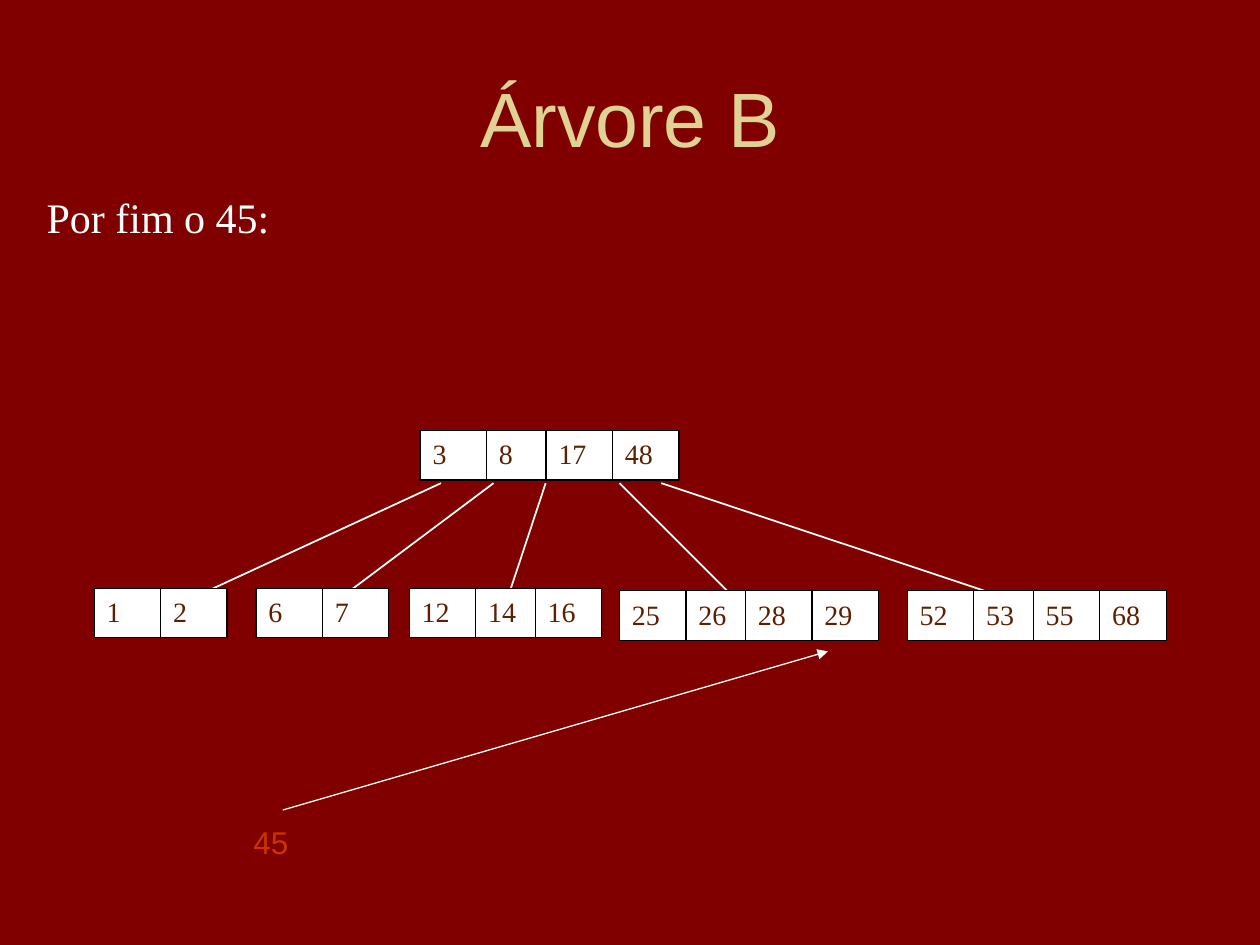
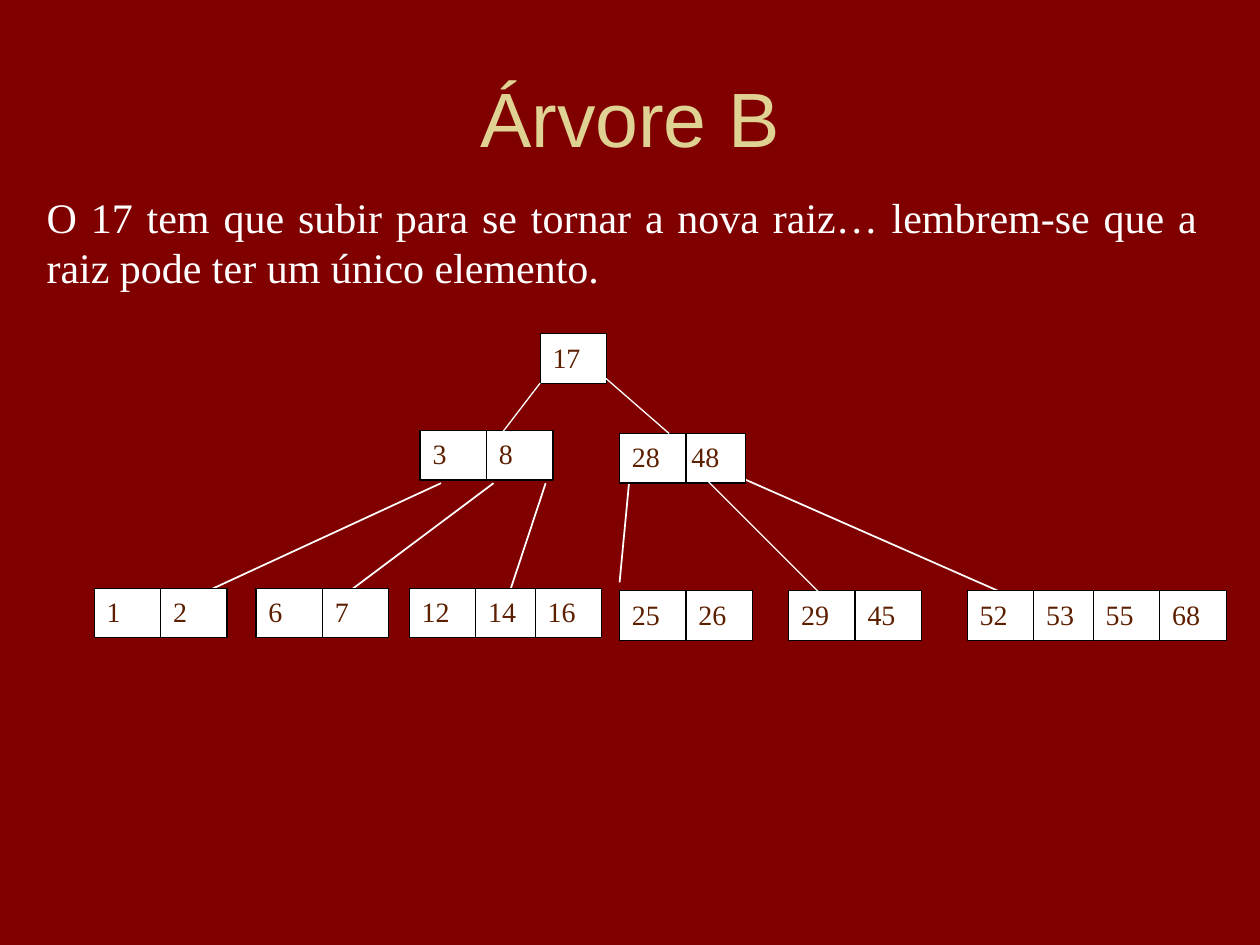
"""Builds two slides on inserting the key 45 into a B-tree."""
from dataclasses import dataclass

import pptx
import pptx.dml.color
import pptx.enum.shapes
import pptx.enum.text
import pptx.oxml
import pptx.oxml.ns
import pptx.util

Cm, Pt = pptx.util.Cm, pptx.util.Pt
PP_ALIGN, ANCHOR = pptx.enum.text.PP_ALIGN, pptx.enum.text.MSO_ANCHOR


@dataclass(frozen=True)
class Theme:
    background: str = "800000"
    title: str = "DFD293"
    light: str = "FFFFFF"
    border: str = "000000"
    key: str = "5C1F00"
    inserted: str = "CC3300"
    sans: str = "Arial"
    serif: str = "Times New Roman"
    title_size: float = 44
    caption_size: float = 24
    inserted_size: float = 18
    key_size: float = 16
    thin: float = 0.75
    branch: float = 1


THEME = Theme()
KEY_WIDTH, KEY_HEIGHT, KEY_PAIR = 1.34, 1, 2.54
ROOT_TOP, MIDDLE_TOP, LEAF_TOP, RIGHT_LEAF_TOP = 6.73, 8.68, 11.86, 11.91
RIGHT_MIDDLE_TOP = 8.74

LEFT_LEAVES = [
    ((1, 2), 1.9, LEAF_TOP),
    ((6, 7), 5.16, LEAF_TOP),
    ((12, 14, 16), 8.25, LEAF_TOP),
]
LEFT_BRANCHES = [
    ((8.89, 9.74), (3.39, 12.28)),
    ((9.95, 9.74), (6.56, 12.28)),
    ((11, 9.74), (10.16, 12.28)),
]

SLIDES = [
    {
        "title": "Árvore B",
        "caption": "Por fim o 45:",
        "caption_height": 1.27,
        "branches": LEFT_BRANCHES + [
            ((12.49, 9.74), (15.03, 12.28)),
            ((13.33, 9.74), (20.96, 12.28)),
        ],
        "nodes": LEFT_LEAVES + [
            ((3, 8, 17, 48), 8.47, MIDDLE_TOP),
            ((25, 26, 28, 29), 12.49, RIGHT_LEAF_TOP),
            ((52, 53, 55, 68), 18.29, RIGHT_LEAF_TOP),
        ],
        "inserted": "45",
        "insertion": ((5.7, 16.33), (16.69, 13.13)),
    },
    {
        "title": "Árvore B",
        "caption": "O 17 tem que subir para se tornar a nova raiz… lembrem-se "
                   "que a raiz pode ter um único elemento.",
        "caption_height": 2.29,
        "branches": LEFT_BRANCHES + [
            ((12.7, 9.53), (12.49, 11.74)),
            ((14.71, 9.53), (20.96, 12.28)),
        ],
        "nodes": LEFT_LEAVES + [
            ((17,), 10.89, ROOT_TOP),
            ((3, 8), 8.47, MIDDLE_TOP),
            ((48,), 13.69, RIGHT_MIDDLE_TOP),
            ((28,), 12.49, RIGHT_MIDDLE_TOP),
            ((25, 26), 12.49, RIGHT_LEAF_TOP),
            ((29, 45), 15.9, RIGHT_LEAF_TOP),
            ((52, 53, 55, 68), 19.5, RIGHT_LEAF_TOP),
        ],
        "new_branches": [
            ((14.1, 9.53), (16.69, 12.12)),
            ((10.89, 7.72), (10.11, 8.74)),
            ((12.09, 7.52), (13.49, 8.74)),
        ],
    },
]


def rgb(color):
    return pptx.dml.color.RGBColor.from_string(color)


def write(shape, text, font, size, color, align=PP_ALIGN.LEFT, anchor=ANCHOR.TOP):
    frame = shape.text_frame
    frame.text = text
    frame.word_wrap = True
    frame.vertical_anchor = anchor
    frame.margin_left = frame.margin_right = Cm(0.25)
    frame.margin_top = frame.margin_bottom = Cm(0.13)
    paragraph = frame.paragraphs[0]
    paragraph.alignment = align
    style = paragraph.runs[0].font
    style.name, style.size = font, Pt(size)
    style.color.rgb = rgb(color)
    return frame


def place(shape, left, top, width, height):
    shape.left, shape.top, shape.width, shape.height = map(Cm, (left, top, width, height))


def draw_line(slide, start, end, width, arrow=False):
    line = slide.shapes.add_connector(
        pptx.enum.shapes.MSO_CONNECTOR.STRAIGHT, *map(Cm, (*start, *end)))
    line.line.color.rgb = rgb(THEME.light)
    line.line.width = Pt(width)
    if arrow:
        head = pptx.oxml.parse_xml(
            f'<a:tailEnd {pptx.oxml.ns.nsdecls("a")} type="triangle"/>')
        line.line._get_or_add_ln().append(head)
    line._element.spPr.append(
        pptx.oxml.parse_xml(f'<a:effectLst {pptx.oxml.ns.nsdecls("a")}/>'))


def draw_node(slide, keys, left, top):
    for index, key in enumerate(keys):
        pair, second = divmod(index, 2)
        cell = slide.shapes.add_shape(
            pptx.enum.shapes.MSO_SHAPE.RECTANGLE,
            Cm(left + pair * KEY_PAIR + second * KEY_WIDTH), Cm(top),
            Cm(KEY_WIDTH), Cm(KEY_HEIGHT))
        cell.shadow.inherit = False
        cell.fill.solid()
        cell.fill.fore_color.rgb = rgb(THEME.light)
        cell.line.color.rgb = rgb(THEME.border)
        cell.line.width = Pt(THEME.thin)
        write(cell, str(key), THEME.serif, THEME.key_size, THEME.key)


def draw_inserted(slide, key):
    label = slide.shapes.add_textbox(Cm(4.5), Cm(16.54), Cm(1.55), Cm(0.94))
    frame = write(label, key, THEME.sans, THEME.inserted_size, THEME.inserted)
    frame.margin_left, frame.margin_right = Cm(0.61), 0
    frame.paragraphs[0].line_spacing = 0.9


def build_slide(deck, content):
    slide = deck.slides.add_slide(deck.slide_layouts[5])
    title = slide.shapes.title
    place(title, 1.27, 0.76, 22.86, 3.18)
    write(title, content["title"], THEME.sans, THEME.title_size, THEME.title,
          PP_ALIGN.CENTER, ANCHOR.MIDDLE)
    caption = slide.shapes.add_textbox(
        Cm(0.69), Cm(3.73), Cm(23.7), Cm(content["caption_height"]))
    write(caption, content["caption"], THEME.serif, THEME.caption_size, THEME.light,
          PP_ALIGN.JUSTIFY)
    for start, end in content["branches"]:
        draw_line(slide, start, end, THEME.branch)
    for keys, left, top in content["nodes"]:
        draw_node(slide, keys, left, top)
    for start, end in content.get("new_branches", []):
        draw_line(slide, start, end, THEME.thin)
    if "inserted" in content:
        draw_inserted(slide, content["inserted"])
        draw_line(slide, *content["insertion"], THEME.thin, arrow=True)


def main():
    deck = pptx.Presentation()
    deck.slide_width, deck.slide_height = Cm(25.4), Cm(19.05)
    backdrop = deck.slide_master.background.fill
    backdrop.solid()
    backdrop.fore_color.rgb = rgb(THEME.background)
    for content in SLIDES:
        build_slide(deck, content)
    deck.save("out.pptx")


if __name__ == "__main__":
    main()
